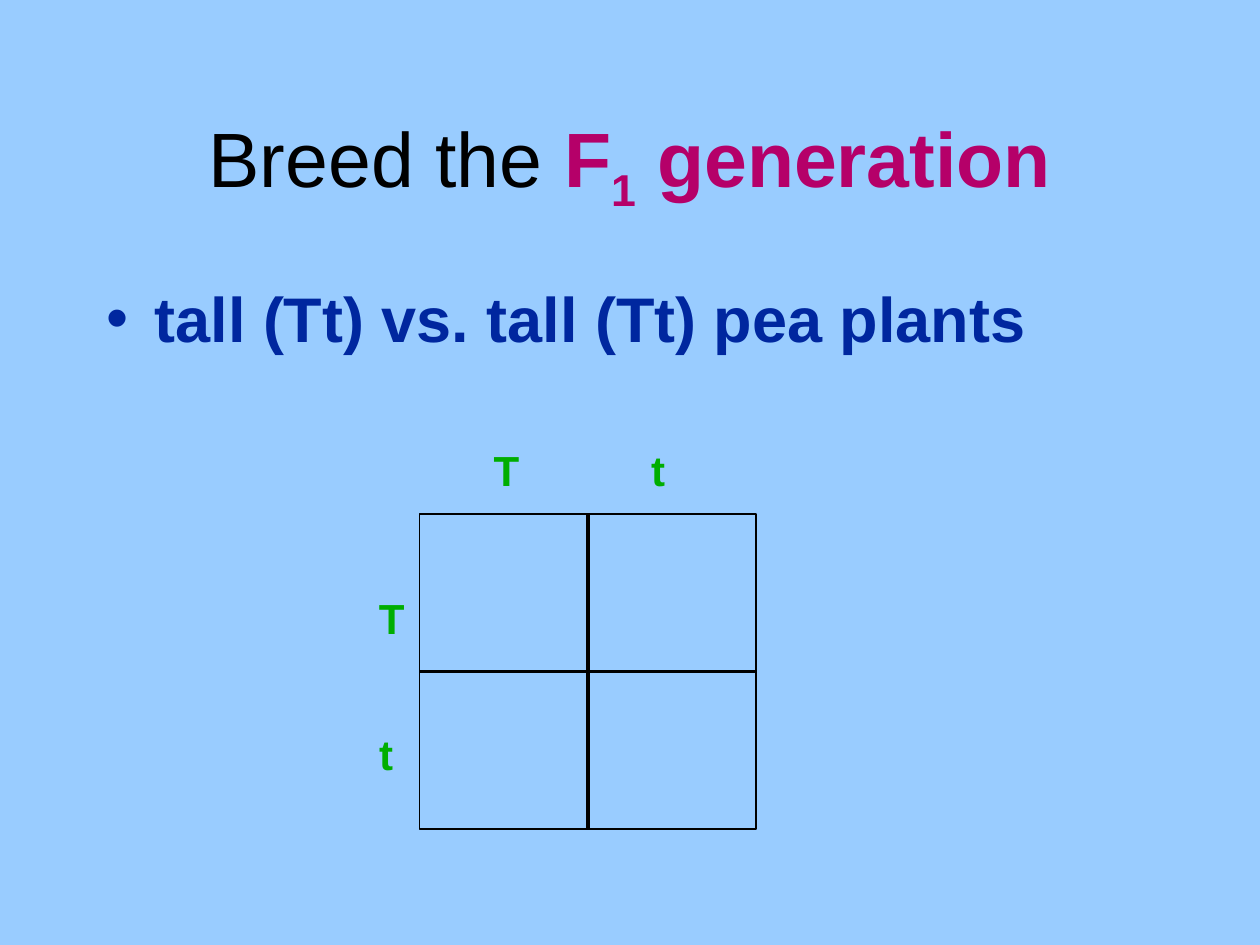
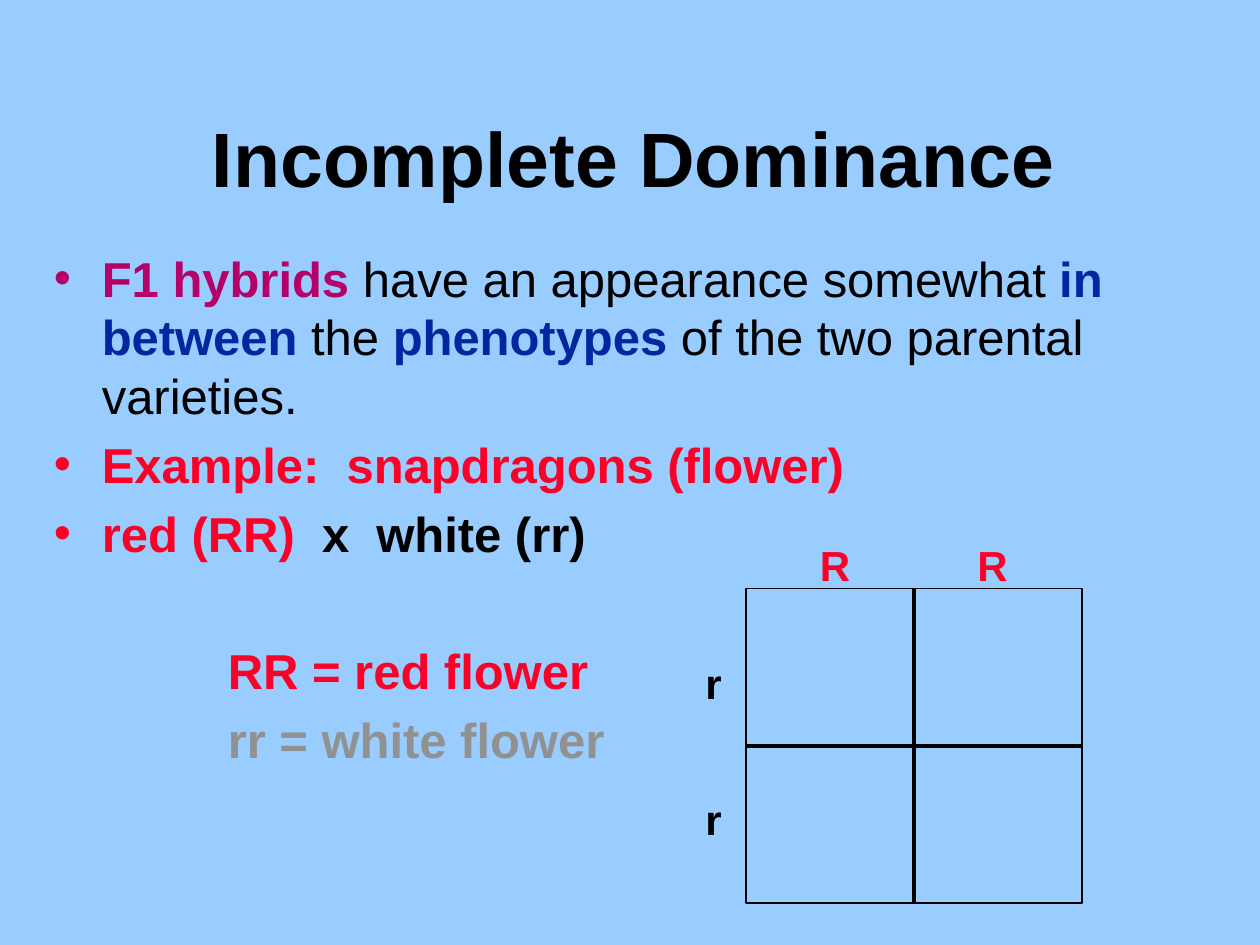
from dataclasses import dataclass

from lxml import etree
from pptx import Presentation
from pptx import util as u
from pptx.dml.color import RGBColor
from pptx.enum import shapes, text
from pptx.oxml.ns import qn


@dataclass(frozen=True)
class Theme:
    font: str = "Arial"
    background: str = "99CCFF"
    black: str = "000000"
    magenta: str = "B50069"
    blue: str = "00279F"
    green: str = "00AE00"
    red: str = "FC0128"
    grey: str = "919191"
    title_size: int = 44
    statement_size: int = 36
    body_size: int = 28
    label_size: int = 24
    space_ratio: float = 0.2
    divider_width: float = 2
    border_width: float = 1


THEME = Theme()
LETTER_WIDTHS = {"T": 0.4, "t": 0.31, "R": 0.44, "r": 0.33}


@dataclass(frozen=True)
class Span:
    content: str
    color: str = THEME.black
    bold: bool = True
    baseline: int = 0


@dataclass(frozen=True)
class Box:
    left: float
    top: float
    width: float
    height: float

    def lengths(self) -> list:
        return [u.Inches(n) for n in (self.left, self.top, self.width, self.height)]


@dataclass(frozen=True)
class Line:
    spans: tuple
    bullet: bool = True
    gap_before: float | None = None


@dataclass(frozen=True)
class PunnettSquare:
    left: float
    top: float
    column_alleles: str
    row_alleles: str
    column_color: str
    row_color: str
    column_label_rise: float
    row_label_drop: float
    width: float = 2.67
    height: float = 2.5
    column_label_inset: float = 0.49
    row_label_reach: float = 0.42
    column_step: float = 1.25
    row_step: float = 1.08


def add_text_frame(slide, box: Box, wrap: bool = True):
    frame = slide.shapes.add_textbox(*box.lengths()).text_frame
    frame.word_wrap = wrap
    return frame


def add_spans(paragraph, spans: tuple, size: float) -> None:
    for span in spans:
        run = paragraph.add_run()
        run.text = span.content
        run.font.name = THEME.font
        run.font.size = u.Pt(size)
        run.font.bold = span.bold
        run.font.color.rgb = RGBColor.from_string(span.color)
        if span.baseline:
            run.font._element.set("baseline", str(span.baseline * 1000))


def add_title(slide, left: float, top: float, *spans: Span) -> None:
    frame = add_text_frame(slide, Box(left, top, 8.5, 1.25))
    frame.vertical_anchor = text.MSO_ANCHOR.MIDDLE
    paragraph = frame.paragraphs[0]
    paragraph.alignment = text.PP_ALIGN.CENTER
    add_spans(paragraph, spans, THEME.title_size)


def set_indent(paragraph, bullet: bool) -> None:
    properties = paragraph._p.get_or_add_pPr()
    properties.set("marL", str(u.Inches(0.38 if bullet else 1.38)))
    properties.set("indent", str(u.Inches(-0.38 if bullet else 0)))
    if bullet:
        etree.SubElement(properties, qn("a:buFont"), typeface=THEME.font)
        etree.SubElement(properties, qn("a:buChar"), char="•")


def add_body(slide, box: Box, size: float, *lines: Line) -> None:
    frame = add_text_frame(slide, box)
    for index, line in enumerate(lines):
        paragraph = frame.add_paragraph() if index else frame.paragraphs[0]
        if index:
            paragraph.space_before = u.Pt(line.gap_before or size * THEME.space_ratio)
        set_indent(paragraph, line.bullet)
        add_spans(paragraph, line.spans, size)


def add_label(slide, letter: str, color: str, left: float, top: float) -> None:
    frame = add_text_frame(slide, Box(left, top, LETTER_WIDTHS[letter], 0.5), wrap=False)
    add_spans(frame.paragraphs[0], (Span(letter, color),), THEME.label_size)


def set_stroke(shape, width: float) -> None:
    shape.line.color.rgb = RGBColor.from_string(THEME.black)
    shape.line.width = u.Pt(width)


def add_divider(slide, x1: float, y1: float, x2: float, y2: float) -> None:
    ends = [u.Inches(n) for n in (x1, y1, x2, y2)]
    divider = slide.shapes.add_connector(shapes.MSO_CONNECTOR.STRAIGHT, *ends)
    set_stroke(divider, THEME.divider_width)
    etree.SubElement(divider._element.spPr, qn("a:effectLst"))


def add_punnett_square(slide, square: PunnettSquare) -> None:
    for index, letter in enumerate(square.row_alleles):
        add_label(slide, letter, square.row_color, square.left - square.row_label_reach,
                  square.top + square.row_label_drop + index * square.row_step)
    for index, letter in enumerate(square.column_alleles):
        add_label(slide, letter, square.column_color,
                  square.left + square.column_label_inset + index * square.column_step,
                  square.top - square.column_label_rise)
    right, bottom = square.left + square.width, square.top + square.height
    center_x = square.left + square.width / 2
    center_y = square.top + square.height / 2
    add_divider(slide, center_x, bottom, center_x, square.top)
    add_divider(slide, right, center_y, square.left, center_y)
    box = Box(square.left, square.top, square.width, square.height)
    border = slide.shapes.add_shape(shapes.MSO_SHAPE.RECTANGLE, *box.lengths())
    border.shadow.inherit = False
    border.fill.background()
    set_stroke(border, THEME.border_width)


def build_f1_slide(slide) -> None:
    add_title(slide, 0.75, 0.67,
              Span("Breed the ", bold=False),
              Span("F", THEME.magenta),
              Span("1", THEME.magenta, baseline=-25),
              Span(" generation", THEME.magenta))
    add_body(slide, Box(0.75, 2.17, 8.5, 4.5), THEME.statement_size,
             Line((Span("tall (Tt) vs. tall (Tt) pea plants", THEME.blue),)))
    add_punnett_square(slide, PunnettSquare(
        3.33, 4.08, "Tt", "Tt", THEME.green, THEME.green,
        column_label_rise=0.6, row_label_drop=0.57))


def build_dominance_slide(slide) -> None:
    add_title(slide, 0.78, 0.62, Span("Incomplete Dominance"))
    add_body(slide, Box(0.33, 1.92, 9.25, 4.5), THEME.body_size,
             Line((Span("F1 hybrids ", THEME.magenta),
                   Span("have an appearance somewhat ", bold=False),
                   Span("in between", THEME.blue),
                   Span(" the ", bold=False),
                   Span("phenotypes ", THEME.blue),
                   Span("of the two parental varieties.", bold=False))),
             Line((Span("Example:  snapdragons (flower)", THEME.red),)),
             Line((Span("red (RR)  ", THEME.red), Span("x  white (rr)"))),
             Line((Span("RR = red flower", THEME.red),), bullet=False, gap_before=45),
             Line((Span("rr = white flower", THEME.grey),), bullet=False))
    add_punnett_square(slide, PunnettSquare(
        5.92, 4.67, "RR", "rr", THEME.red, THEME.black,
        column_label_rise=0.44, row_label_drop=0.5))


def main() -> None:
    presentation = Presentation()
    presentation.slide_width = u.Inches(10)
    presentation.slide_height = u.Inches(7.5)
    fill = presentation.slide_master.background.fill
    fill.solid()
    fill.fore_color.rgb = RGBColor.from_string(THEME.background)
    blank_layout = presentation.slide_layouts[6]
    for build in (build_f1_slide, build_dominance_slide):
        build(presentation.slides.add_slide(blank_layout))
    presentation.save("out.pptx")


if __name__ == "__main__":
    main()
